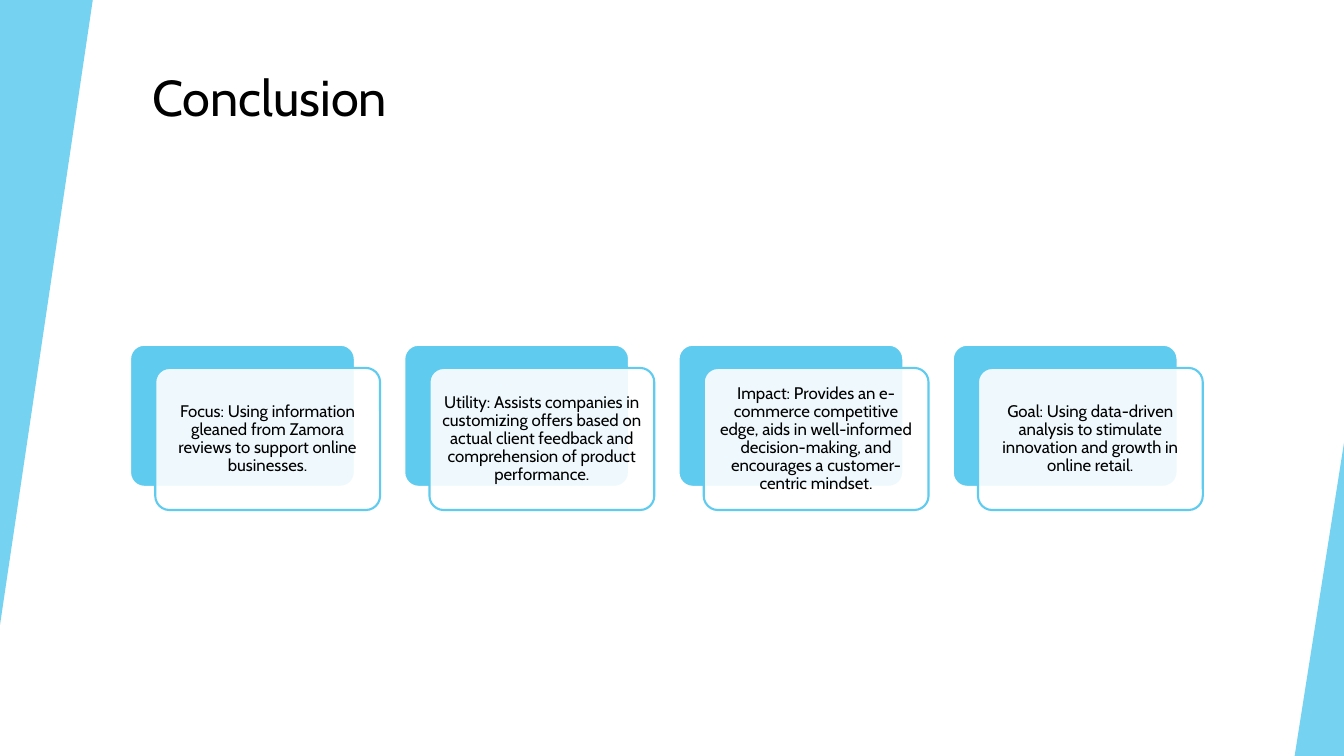
"""Build the conclusion slide with four layered cards."""
from dataclasses import dataclass

import lxml.etree
import pptx
import pptx.dml.color
import pptx.enum.shapes
import pptx.enum.text
import pptx.oxml.ns
import pptx.util

Inches = pptx.util.Inches
Shapes = pptx.enum.shapes.MSO_SHAPE
Align = pptx.enum.text.PP_ALIGN
Anchor = pptx.enum.text.MSO_ANCHOR

TITLE = "Conclusion"
CARDS = [
    "Focus: Using information gleaned from Zamora reviews to support online businesses.",
    "Utility: Assists companies in customizing offers based on actual client feedback "
    "and comprehension of product performance.",
    "Impact: Provides an e-commerce competitive edge, aids in well-informed "
    "decision-making, and encourages a customer-centric mindset.",
    "Goal: Using data-driven analysis to stimulate innovation and growth in online retail.",
]
EDGE_TRIANGLES = [
    {"at": (0, 0, 0.92, 6.2), "rotation": 180},
    {"at": (12.84, 4.39, 0.49, 3.11), "rotation": 0},
]
SLIDE_SIZE = (13.33, 7.5)
TITLE_AT = (1.41, 0.67, 11.15, 1.2)
CARD_START = (1.29, 3.42)
CARD_SIZE = (2.23, 1.41)
CARD_PITCH = 2.72
CARD_OFFSET = (0.25, 0.23)
CARD_INSET = 0.05


@dataclass(frozen=True)
class Theme:
    """Colours, font and sizes of the slide."""
    accent: str = "5FCBEF"
    paper: str = "FFFFFF"
    ink: str = "000000"
    font: str = "Cabin"
    title_size: int = 36
    card_size: int = 12
    outline: float = 1.5
    corner: float = 0.1


THEME = Theme()


def rgb(code):
    """Turn a hex code into a colour."""
    return pptx.dml.color.RGBColor.from_string(code)


def add_panel(page, kind, at, fill, opacity=100, line=None):
    """Add a filled shape, optionally see-through or outlined."""
    panel = page.shapes.add_shape(kind, *map(Inches, at))
    panel.shadow.inherit = False
    panel.fill.solid()
    panel.fill.fore_color.rgb = rgb(fill)
    if opacity < 100:
        colour = panel.fill._xPr.find(".//" + pptx.oxml.ns.qn("a:srgbClr"))
        alpha = lxml.etree.SubElement(colour, pptx.oxml.ns.qn("a:alpha"))
        alpha.set("val", str(opacity * 1000))
    if line:
        panel.line.color.rgb = rgb(line)
        panel.line.width = pptx.util.Pt(THEME.outline)
    else:
        panel.line.fill.background()
    return panel


def write(shape, words, size, align, anchor):
    """Put one styled paragraph in a shape."""
    frame = shape.text_frame
    frame.word_wrap = True
    frame.auto_size = pptx.enum.text.MSO_AUTO_SIZE.NONE
    frame.vertical_anchor = anchor
    para = frame.paragraphs[0]
    para.alignment = align
    para.line_spacing = 0.9
    span = para.add_run()
    span.text = words
    span.font.name = THEME.font
    span.font.size = pptx.util.Pt(size)
    span.font.color.rgb = rgb(THEME.ink)


def add_card(page, index, words):
    """Add a solid back panel and a see-through text panel over it."""
    left, top = CARD_START[0] + index * CARD_PITCH, CARD_START[1]
    front_at = (left + CARD_OFFSET[0], top + CARD_OFFSET[1], *CARD_SIZE)
    back = add_panel(page, Shapes.ROUNDED_RECTANGLE, (left, top, *CARD_SIZE),
                     THEME.accent, line=THEME.paper)
    front = add_panel(page, Shapes.ROUNDED_RECTANGLE, front_at,
                      THEME.paper, opacity=90, line=THEME.accent)
    for panel in (back, front):
        panel.adjustments[0] = THEME.corner
    frame = front.text_frame
    frame.margin_left = frame.margin_right = Inches(CARD_INSET)
    frame.margin_top = frame.margin_bottom = Inches(CARD_INSET)
    write(front, words, THEME.card_size, Align.CENTER, Anchor.MIDDLE)


def main():
    """Create and save the deck."""
    deck = pptx.Presentation()
    deck.slide_width, deck.slide_height = map(Inches, SLIDE_SIZE)
    page = deck.slides.add_slide(deck.slide_layouts[5])
    title = page.shapes.title
    title.left, title.top, title.width, title.height = map(Inches, TITLE_AT)
    write(title, TITLE, THEME.title_size, Align.LEFT, Anchor.TOP)
    for edge in EDGE_TRIANGLES:
        triangle = add_panel(page, Shapes.ISOSCELES_TRIANGLE, edge["at"],
                             THEME.accent, opacity=85)
        triangle.adjustments[0] = 1
        triangle.rotation = edge["rotation"]
    for index, words in enumerate(CARDS):
        add_card(page, index, words)
    deck.save("out.pptx")


if __name__ == "__main__":
    main()
